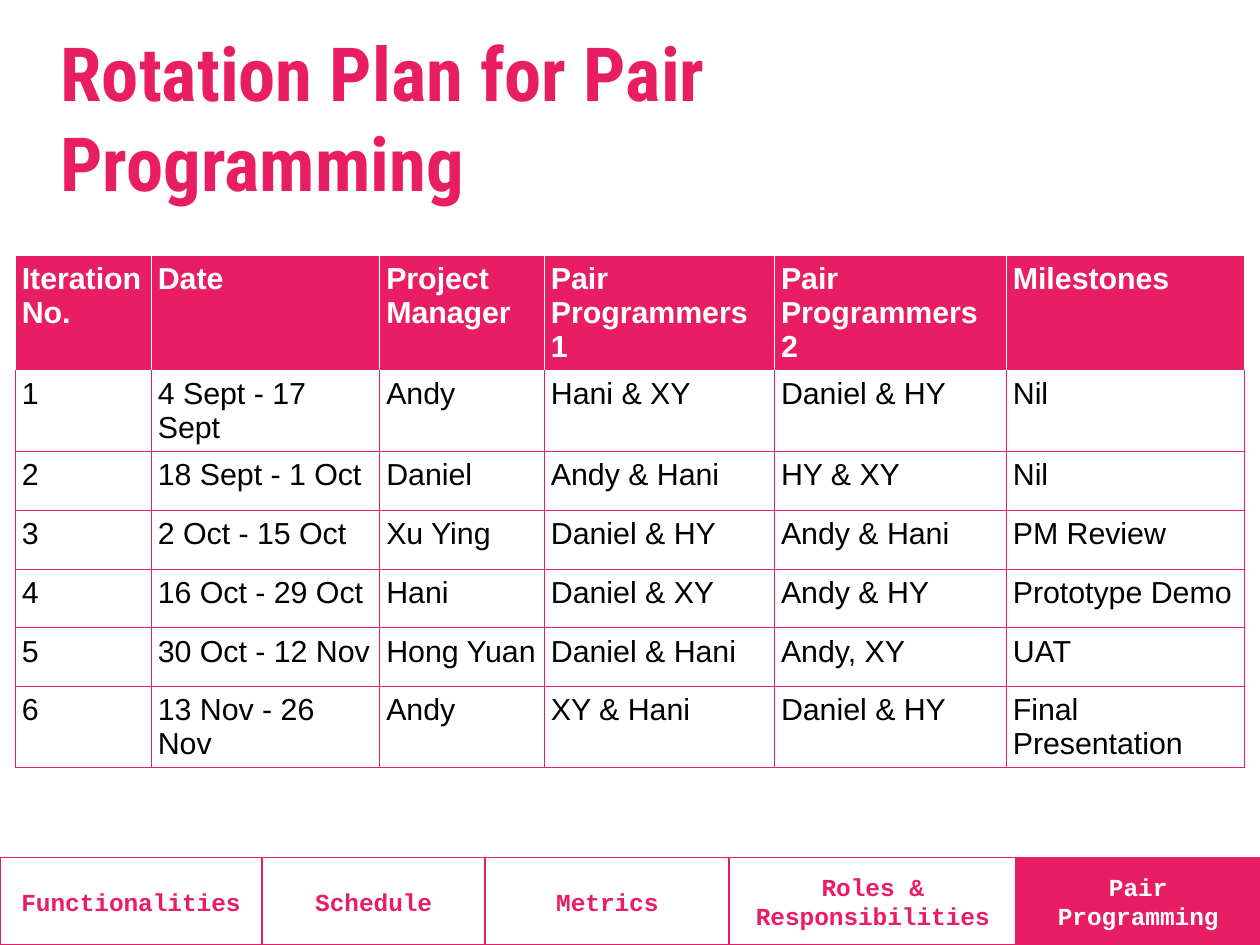
from itertools import accumulate

from lxml import etree
from pptx import Presentation
from pptx import util as u
from pptx.dml.color import RGBColor
from pptx.enum import shapes, text
from pptx.oxml.ns import qn

COLORS = {"pink": "E91D63", "white": "FFFFFF", "black": "000000"}
WIDTH = 7.5
HEIGHT = WIDTH * 3 / 4

TITLE = "Rotation Plan for Pair Programming"
COLUMNS = [0.81, 1.36, 0.98, 1.37, 1.38, 1.42]
HEADER_HEIGHT, ROW_HEIGHT = 0.58, 0.35
ROTATION = [
    ["Iteration\nNo.", "Date", "Project Manager", "Pair Programmers 1",
     "Pair\nProgrammers 2", "Milestones"],
    ["1", "4 Sept - 17 Sept", "Andy", "Hani & XY", "Daniel & HY", "Nil"],
    ["2", "18 Sept - 1 Oct", "Daniel", "Andy & Hani", "HY & XY", "Nil"],
    ["3", "2 Oct - 15 Oct", "Xu Ying", "Daniel & HY", "Andy & Hani", "PM Review"],
    ["4", "16 Oct - 29 Oct", "Hani", "Daniel & XY", "Andy & HY", "Prototype Demo"],
    ["5", "30 Oct - 12 Nov", "Hong Yuan", "Daniel & Hani", "Andy, XY", "UAT"],
    ["6", "13 Nov - 26 Nov", "Andy", "XY & Hani", "Daniel & HY", "Final Presentation"],
]
TAB_HEIGHT = 0.52
TABS = [("Functionalities", 1.56), ("Schedule", 1.33), ("Metrics", 1.45),
        ("Roles & Responsibilities", 1.71), ("Pair Programming", 1.45)]
ACTIVE_TAB = "Pair Programming"


def color(name):
    """Return the named palette colour."""
    return RGBColor.from_string(COLORS[name])


def inches(*lengths):
    """Convert lengths in inches to slide units."""
    return [u.Inches(length) for length in lengths]


def set_margins(holder, margin):
    """Give a cell or text frame the same margin on all sides."""
    for side in ("left", "top", "right", "bottom"):
        setattr(holder, f"margin_{side}", u.Inches(margin))


def style_text(frame, font_name, size, color_name, bold):
    """Set the font of every paragraph in a text frame."""
    for paragraph in frame.paragraphs:
        font = paragraph.font
        font.name, font.size, font.bold = font_name, u.Pt(size), bold
        font.color.rgb = color(color_name)


def set_borders(cell, **sides):
    """Draw half-point cell borders in the named colours."""
    properties = cell._tc.get_or_add_tcPr()
    for side in "LRTB":
        line = etree.SubElement(properties, qn(f"a:ln{side}"), w=str(u.Pt(0.5)))
        fill = etree.SubElement(line, qn("a:solidFill"))
        etree.SubElement(fill, qn("a:srgbClr"), val=COLORS[sides[side]])


def add_bar(slide, box, fill):
    """Add a plain filled rectangle without an outline."""
    bar = slide.shapes.add_shape(shapes.MSO_SHAPE.RECTANGLE, *inches(*box))
    bar.shadow.inherit = False
    bar.fill.solid()
    bar.fill.fore_color.rgb = color(fill)
    bar.line.fill.background()
    return bar


def add_navigation(slide, box):
    """Add the row of section tabs, with the active one filled."""
    left, top, width, height = box
    add_bar(slide, box, "pink")
    offsets = accumulate((tab_width for _, tab_width in TABS), initial=left)
    for (label, tab_width), offset in zip(TABS, offsets):
        active = label == ACTIVE_TAB
        tab = add_bar(slide, (offset, top, tab_width, height),
                      "pink" if active else "white")
        tab.line.color.rgb = color("pink")
        tab.line.width = u.Pt(0.75)
        frame = tab.text_frame
        frame.text = label
        frame.word_wrap = True
        frame.vertical_anchor = text.MSO_ANCHOR.MIDDLE
        frame.paragraphs[0].alignment = text.PP_ALIGN.CENTER
        set_margins(frame, 0.07)
        style_text(frame, "Courier New", 10.5, "white" if active else "pink", True)


def add_rotation_table(slide, box):
    """Add the rotation plan with a filled header row."""
    table = slide.shapes.add_table(len(ROTATION), len(COLUMNS), *inches(*box)).table
    table.first_row = table.horz_banding = False
    for column, width in zip(table.columns, COLUMNS):
        column.width = u.Inches(width)
    for index, values in enumerate(ROTATION):
        header = index == 0
        table.rows[index].height = u.Inches(HEADER_HEIGHT if header else ROW_HEIGHT)
        edge = "white" if header else "pink"
        upper = "white" if index <= 1 else "pink"
        for cell, value in zip(table.rows[index].cells, values):
            cell.text = value
            set_margins(cell, 0.04)
            style_text(cell.text_frame, "Arial", 13,
                       "white" if header else "black", header)
            set_borders(cell, L=edge, R=edge, T=upper, B=edge)
            if header:
                cell.fill.solid()
                cell.fill.fore_color.rgb = color("pink")
            else:
                cell.fill.background()


def add_title(slide, box):
    """Add the slide title, resting on the bottom of its box."""
    frame = slide.shapes.add_textbox(*inches(*box)).text_frame
    frame.text = TITLE
    frame.word_wrap = True
    frame.vertical_anchor = text.MSO_ANCHOR.BOTTOM
    set_margins(frame, 0.07)
    style_text(frame, "Roboto Condensed", 32, "pink", True)


def main():
    """Build the slide and save it."""
    presentation = Presentation()
    presentation.slide_width, presentation.slide_height = inches(WIDTH, HEIGHT)
    slide = presentation.slides.add_slide(presentation.slide_layouts[6])
    add_navigation(slide, (0, HEIGHT - TAB_HEIGHT, WIDTH, TAB_HEIGHT))
    table_height = HEADER_HEIGHT + ROW_HEIGHT * (len(ROTATION) - 1)
    add_rotation_table(slide, (0.09, 1.52, sum(COLUMNS), table_height))
    add_title(slide, (0.29, 0.76, 6.08, 0.54))
    presentation.save("out.pptx")


if __name__ == "__main__":
    main()
